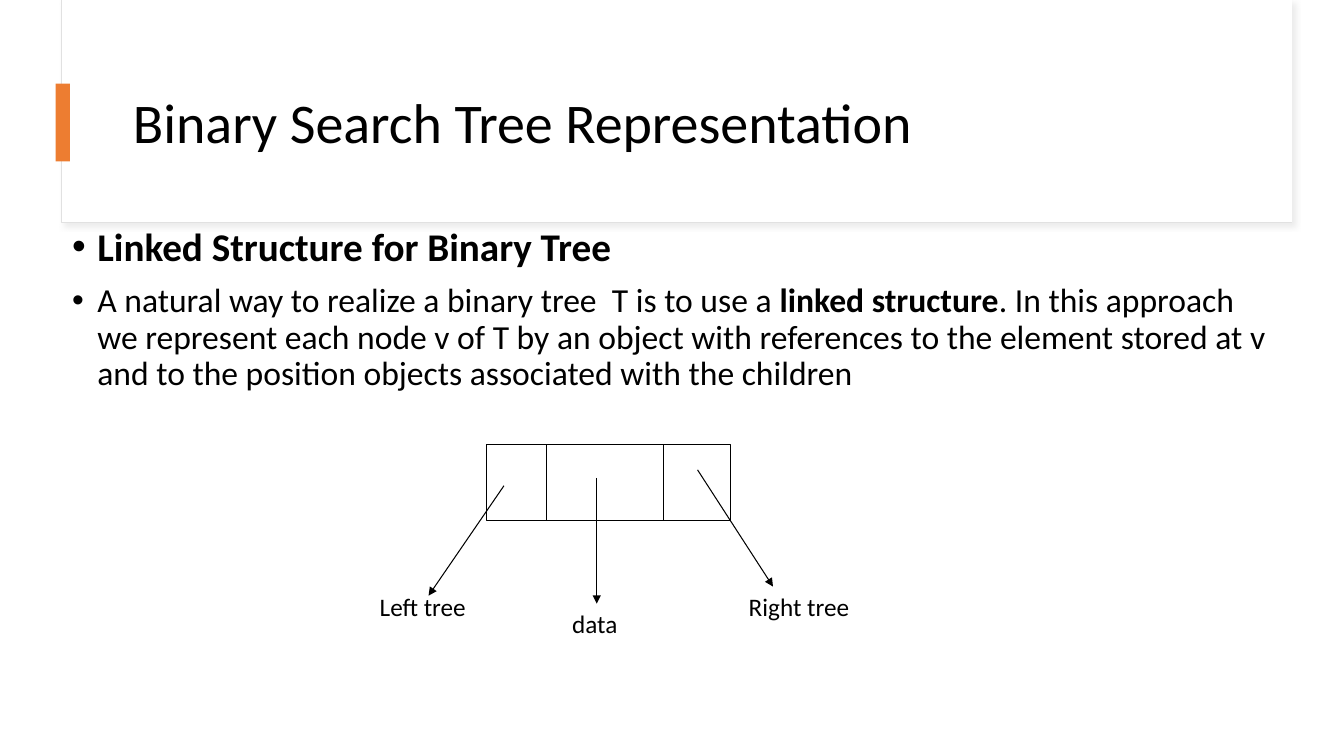
"""Builds the slide on the linked structure of a binary search tree."""
from dataclasses import dataclass

from lxml.etree import SubElement
from pptx import Presentation
from pptx.dml.color import RGBColor as Rgb
from pptx.enum.shapes import MSO_CONNECTOR as Link, MSO_SHAPE as Form
from pptx.enum.text import MSO_ANCHOR as Anchor
from pptx.oxml import parse_xml
from pptx.oxml.ns import nsdecls, qn
from pptx.util import Cm, Pt

TITLE = "Binary Search Tree Representation"
POINTS = [
    (28, [("Linked Structure for Binary Tree", True)]),
    (24, [
        ("A natural way to realize a binary tree  T is to use a ", False),
        ("linked structure", True),
        (". In this approach we represent each node v of T by an object with "
         "references to the element stored at v and to the position objects "
         "associated with the children", False),
    ]),
]
CARD = (1.55, 0, 31.01, 5.61)
FACE = (1.57, 0, 30.99, 5.59)
MARK = (1.4, 2.11, 0.36, 1.96)
HEAD = (3.1, 1.52, 28.24, 3.28)
BODY = (1.57, 5.61, 30.73, 5.59)
NODE = (12.27, 11.2, 6.15, 1.91)
SPLITS = [1.5, 4.44]
FIELDS = [
    ("Left tree", (12.7, 12.24), (10.8, 15.01), (9.32, 14.78, 3.18, 1.02)),
    ("Right tree", (17.58, 11.84), (19.48, 14.78), (18.62, 14.78, 3.38, 1.02)),
    ("data", (15.04, 12.04), (15.04, 15.21), (14.17, 15.21, 2.74, 1.02)),
]


@dataclass
class Theme:
    """Colours, font and sizes."""
    font: str = "Calibri"
    ink: str = "000000"
    paper: str = "FFFFFF"
    edge: str = "E1E1E1"
    shade: str = "D9D9D9"
    accent: str = "ED7D31"
    title: int = 40
    label: int = 18
    line: float = 0.75


LOOK = Theme()


def style(run, size, bold=False):
    """Format one run."""
    font = run.font
    font.name, font.size, font.bold = LOOK.font, Pt(size), bold
    font.color.rgb = Rgb.from_string(LOOK.ink)


def add_box(slide, place, fill=None, line=None):
    """Add a rectangle."""
    box = slide.shapes.add_shape(Form.RECTANGLE, *map(Cm, place))
    box.shadow.inherit = False
    if fill:
        box.fill.solid()
        box.fill.fore_color.rgb = Rgb.from_string(fill)
    else:
        box.fill.background()
    if line:
        box.line.color.rgb = Rgb.from_string(line)
        box.line.width = Pt(LOOK.line)
    else:
        box.line.fill.background()
    return box


def add_shade(box):
    """Give a box a soft shadow."""
    props = box.element.spPr
    props.remove(props.find(qn("a:effectLst")))
    props.append(parse_xml(
        f'<a:effectLst {nsdecls("a")}>'
        f'<a:outerShdw blurRad="{Pt(4)}" dist="{Pt(3)}" dir="2700000" algn="tl" rotWithShape="0">'
        f'<a:srgbClr val="{LOOK.shade}"><a:alpha val="50000"/></a:srgbClr>'
        '</a:outerShdw></a:effectLst>'))


def add_line(slide, start, end, arrow=False):
    """Add a straight line, with an arrowhead if asked."""
    line = slide.shapes.add_connector(Link.STRAIGHT, *map(Cm, start + end))
    line.line.color.rgb = Rgb.from_string(LOOK.ink)
    line.line.width = Pt(LOOK.line)
    if arrow:
        SubElement(line.line._get_or_add_ln(), qn("a:tailEnd"), type="triangle")
    SubElement(line._element.spPr, qn("a:effectLst"))


def add_text(slide, place, text=""):
    """Add a wrapping text box and return its frame."""
    frame = slide.shapes.add_textbox(*map(Cm, place)).text_frame
    frame.word_wrap = True
    frame.text = text
    return frame


def add_title(slide):
    """Add the header card, its mark and the title."""
    add_shade(add_box(slide, CARD, LOOK.paper, LOOK.edge))
    add_box(slide, FACE, LOOK.paper)
    frame = add_text(slide, HEAD, TITLE)
    frame.vertical_anchor = Anchor.MIDDLE
    para = frame.paragraphs[0]
    para.line_spacing = 0.9
    style(para.runs[0], LOOK.title)
    add_box(slide, MARK, LOOK.accent)


def add_points(slide):
    """Add the bulleted text."""
    frame = add_text(slide, BODY)
    for rank, (size, parts) in enumerate(POINTS):
        para = frame.add_paragraph() if rank else frame.paragraphs[0]
        para.line_spacing, para.space_before = 0.9, Pt(10)
        props = para._p.get_or_add_pPr()
        props.set("marL", str(Pt(18)))
        props.set("indent", str(-Pt(18)))
        SubElement(props, qn("a:buFont"), typeface="Arial")
        SubElement(props, qn("a:buChar"), char="•")
        for text, bold in parts:
            run = para.add_run()
            run.text = text
            style(run, size, bold)


def add_node(slide):
    """Add the node with its three fields."""
    left, top, _, height = NODE
    add_box(slide, NODE, line=LOOK.ink)
    for split in SPLITS:
        add_line(slide, (left + split, top), (left + split, top + height))
    for name, start, end, place in FIELDS:
        add_line(slide, start, end, arrow=True)
        frame = add_text(slide, place, name)
        style(frame.paragraphs[0].runs[0], LOOK.label)


def main():
    """Build and save the slide."""
    deck = Presentation()
    deck.slide_width, deck.slide_height = Cm(33.87), Cm(19.05)
    slide = deck.slides.add_slide(deck.slide_layouts[6])
    add_title(slide)
    add_points(slide)
    add_node(slide)
    deck.save("out.pptx")


if __name__ == "__main__":
    main()
